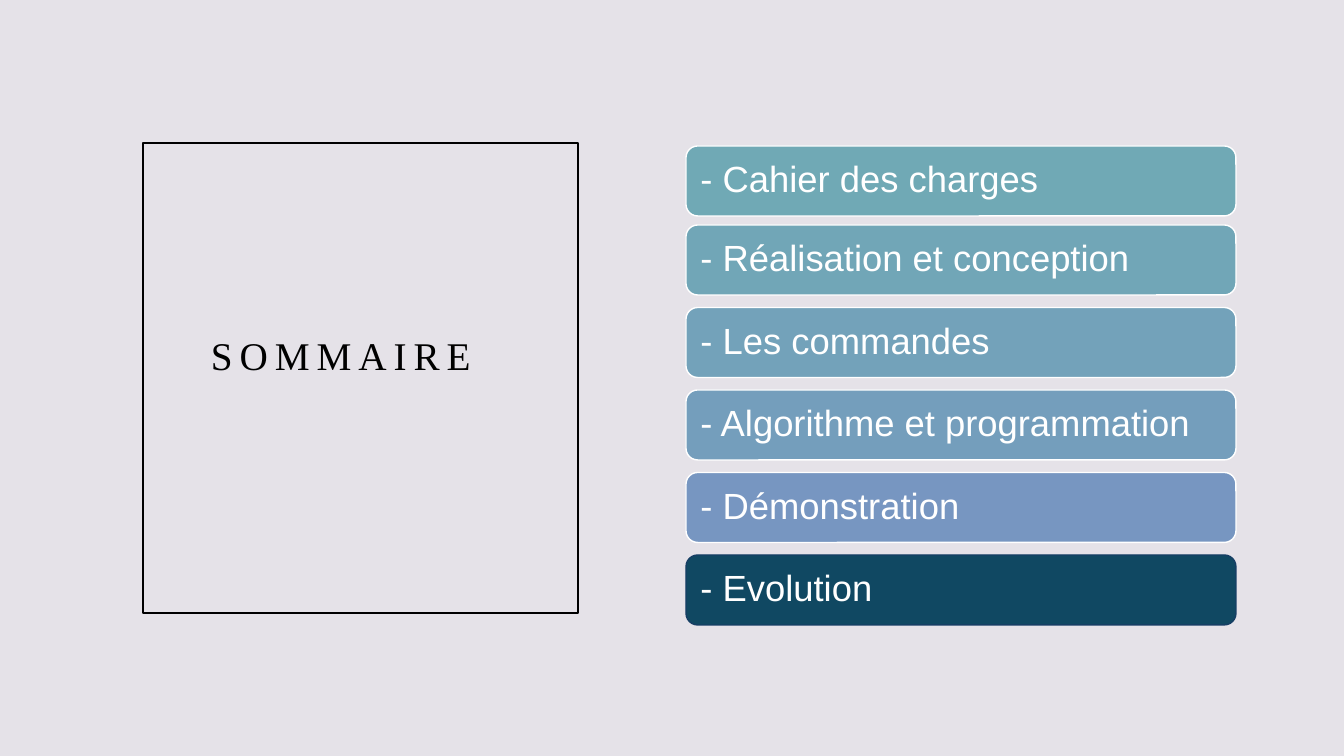
"""Build the SOMMAIRE agenda slide with its six topic bars."""
from pptx import Presentation
from pptx.dml.color import RGBColor
from pptx.enum.shapes import MSO_SHAPE
from pptx.enum.text import MSO_ANCHOR, PP_ALIGN
from pptx.util import Pt

TITLE = "SOMMAIRE"
TOPICS = [
    ("- Cahier des charges", "70A9B5", "FFFFFF"),
    ("- Réalisation et conception", "71A6B7", "FFFFFF"),
    ("- Les commandes", "73A2BA", "FFFFFF"),
    ("- Algorithme et programmation", "749EBC", "FFFFFF"),
    ("- Démonstration", "7796C1", "FFFFFF"),
    ("- Evolution", "104862", "163E64"),
]
BACKGROUND = "E5E2E8"
SLIDE_SIZE = (1344, 756)
FRAME = (143, 143, 435, 470)
TITLE_BOX = (201, 228, 400, 244)
BAR_LEFT, BAR_WIDTH, BAR_HEIGHT = 686, 550, 70
FIRST_TOP, SECOND_TOP, LAST_TOP = 146, 225, 555
BAR_INSET = 11
TITLE_FORMAT = {"name": "Times New Roman", "size": Pt(28)}
TOPIC_FORMAT = {"name": "Arial", "size": Pt(26)}
TITLE_PARAGRAPH = {"line_spacing": 1.2, "space_after": Pt(6), "alignment": PP_ALIGN.LEFT}
TOPIC_PARAGRAPH = {"line_spacing": 0.9, "space_after": Pt(11), "alignment": PP_ALIGN.LEFT}


def emu(pixels):
    """Convert pixels to EMU."""
    return round(pixels * 914400 / 100.8)


def paint(target, color):
    """Give a fill or font one solid colour."""
    if hasattr(target, "solid"):
        target.solid()
        target.fore_color.rgb = RGBColor.from_string(color)
    else:
        target.color.rgb = RGBColor.from_string(color)


def apply(target, values):
    """Set each attribute of a format."""
    for name, value in values.items():
        setattr(target, name, value)


def write(shape, text, color, font_format, paragraph_format, inset=None):
    """Write one vertically centred paragraph and return its run."""
    frame = shape.text_frame
    apply(frame, {"word_wrap": True, "vertical_anchor": MSO_ANCHOR.MIDDLE})
    if inset is not None:
        apply(frame, {f"margin_{side}": emu(inset) for side in ("left", "top", "right", "bottom")})
    paragraph = frame.paragraphs[0]
    apply(paragraph, paragraph_format)
    run = paragraph.add_run()
    run.text = text
    apply(run.font, font_format)
    paint(run.font, color)
    return run


def add_box(slide, kind, box, line_color, fill_color=None):
    """Add an outlined preset shape, filled when a colour is given."""
    shape = slide.shapes.add_shape(kind, *map(emu, box))
    shape.shadow.inherit = False
    if fill_color:
        paint(shape.fill, fill_color)
    else:
        shape.fill.background()
    paint(shape.line, line_color)
    shape.line.width = Pt(1)
    return shape


presentation = Presentation()
presentation.slide_width, presentation.slide_height = map(emu, SLIDE_SIZE)
slide = presentation.slides.add_slide(presentation.slide_layouts[6])
paint(slide.background.fill, BACKGROUND)

add_box(slide, MSO_SHAPE.RECTANGLE, FRAME, "000000")
title = slide.shapes.add_textbox(*map(emu, TITLE_BOX))
title_run = write(title, TITLE, "000000", TITLE_FORMAT, TITLE_PARAGRAPH)
title_run.font._element.set("spc", "500")

step = (LAST_TOP - SECOND_TOP) / (len(TOPICS) - 2)
tops = [FIRST_TOP] + [SECOND_TOP + step * index for index in range(len(TOPICS) - 1)]
for top, (text, fill_color, line_color) in zip(tops, TOPICS):
    box = (BAR_LEFT, top, BAR_WIDTH, BAR_HEIGHT)
    bar = add_box(slide, MSO_SHAPE.ROUNDED_RECTANGLE, box, line_color, fill_color)
    write(bar, text, "FFFFFF", TOPIC_FORMAT, TOPIC_PARAGRAPH, BAR_INSET)

presentation.save("out.pptx")
